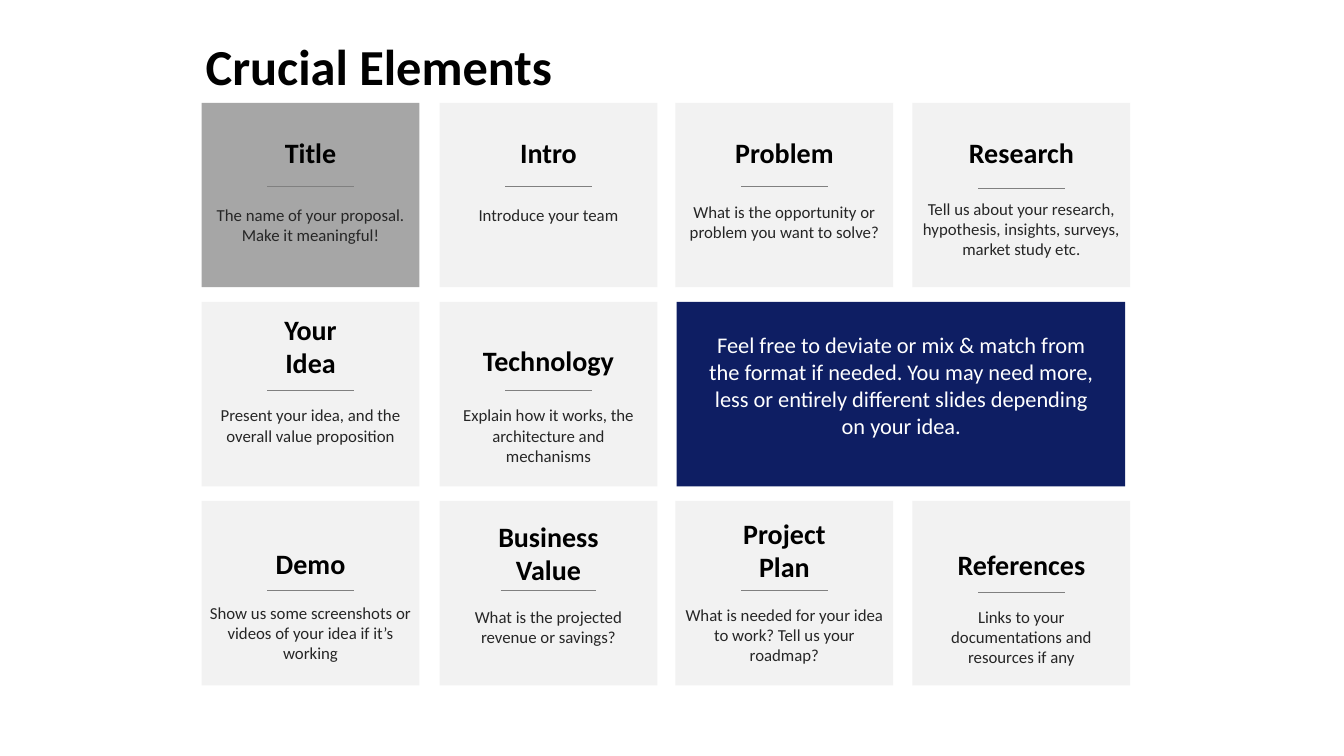
"""Build the Crucial Elements slide: a grid of proposal cards with one wide note."""
from lxml import etree
from pptx import Presentation
from pptx import util as u
from pptx.dml.color import RGBColor
from pptx.enum import shapes, text
from pptx.oxml.ns import qn

deck = Presentation()
deck.slide_width, deck.slide_height = u.Inches(13.33), u.Inches(7.5)
slide = deck.slides.add_slide(deck.slide_layouts[6])

CARD_W, CARD_H = 2.16, 1.83
COLUMNS = [2, 4.36, 6.7, 9.05]
ROWS = [1.02 + 1.975 * row for row in range(3)]
RULE_DROPS = [0.83, 0.88, 0.89]
FRAME = {"word_wrap": True, "auto_size": text.MSO_AUTO_SIZE.SHAPE_TO_FIT_TEXT,
         "margin_left": u.Inches(0.05), "margin_right": u.Inches(0.05),
         "margin_top": u.Inches(0.05), "margin_bottom": u.Inches(0.05)}
HEADING = {"size": u.Pt(20), "bold": True}
BODY = {"size": u.Pt(12)}


def paint(target, color):
    """Give a fill, line or font a solid colour."""
    if hasattr(target, "solid"):
        target.solid()
    (target.fore_color if hasattr(target, "fore_color") else target.color).rgb = RGBColor.from_string(color)


def write(words, left, top, width, height, font, color, align=text.PP_ALIGN.CENTER):
    """Add a text box with one paragraph per line of words."""
    frame = slide.shapes.add_textbox(*map(u.Inches, (left, top, width, height))).text_frame
    for name, value in FRAME.items():
        setattr(frame, name, value)
    frame.text = words
    for paragraph in frame.paragraphs:
        paragraph.alignment = align
        for name, value in {"name": "Calibri", **font}.items():
            setattr(paragraph.font, name, value)
        paint(paragraph.font, color)
    return frame


title = write("Crucial Elements", 1.99, 0.37, 9.46, 0.65,
              {"size": u.Pt(36), "bold": True}, "000000", text.PP_ALIGN.LEFT)
title.paragraphs[0].line_spacing = 0.9

cards = [
    (0, 0, "Title", 0.75, 1.3, "The name of your proposal. Make it meaningful!", 2.08, 1.98),
    (1, 0, "Intro", 0.83, 1.3, "Introduce your team", 2.08, 1.98),
    (2, 0, "Problem", 1.33, 1.3, "What is the opportunity or problem you want to solve?", 2.08, 1.95),
    (3, 0, "Research", 1.42, 1.3,
     "Tell us about your research, hypothesis, insights, surveys, market study etc.", 2.08, 1.92),
    (0, 1, "Your\nIdea", 0.79, 3.05, "Present your idea, and the overall value proposition", 2.08, 3.97),
    (1, 1, "Technology", 1.99, 3.36, "Explain how it works, the architecture and mechanisms", 2.08, 3.97),
    (0, 2, "Demo", 0.98, 5.37,
     "Show us some screenshots or videos of your idea if it’s working", 2.16, 5.93),
    (1, 2, "Business\nValue", 1.35, 5.1, "What is the projected revenue or savings?", 2.08, 5.97),
    (2, 2, "Project\nPlan", 1.14, 5.07, "What is needed for your idea to work? Tell us your roadmap?", 2.15, 5.95),
    (3, 2, "References", 1.71, 5.38, "Links to your documentations and resources if any", 2.08, 5.97),
]

panels = [(COLUMNS[col], ROWS[row], CARD_W, "F2F2F2" if col or row else "A6A6A6")
          for col, row, *_ in cards]
panels.append((6.71, ROWS[1], 4.45, "0E1E63"))
for left, top, width, color in panels:
    panel = slide.shapes.add_shape(shapes.MSO_SHAPE.RECTANGLE, *map(u.Inches, (left, top, width, CARD_H)))
    panel.shadow.inherit = False
    paint(panel.fill, color)
    panel.line.fill.background()

for col, row, heading, heading_w, heading_top, body, body_w, body_top in cards:
    center = COLUMNS[col] + CARD_W / 2
    heading_h = 0.77 if "\n" in heading else 0.44
    write(heading, center - heading_w / 2, heading_top, heading_w, heading_h, HEADING, "000000")
    body_h = 0.3 if col == 1 and row == 0 else 0.71 if len(body) > 53 or col == 3 or heading == "Technology" else 0.5
    write(body, center - body_w / 2, body_top, body_w, body_h, BODY, "262626")
    rule_w = 0.95 if heading.startswith("Business") else 0.86
    rule_y = ROWS[row] + RULE_DROPS[row] + (0.02 if col == 3 else 0)
    rule = slide.shapes.add_connector(shapes.MSO_CONNECTOR.STRAIGHT, *map(
        u.Inches, (center - rule_w / 2, rule_y, center + rule_w / 2, rule_y)))
    paint(rule.line, "808080")
    rule.line.width = u.Pt(0.5)
    etree.SubElement(rule._element.spPr, qn("a:effectLst"))

write("Feel free to deviate or mix & match from the format if needed. You may need more, "
      "less or entirely different slides depending on your idea.",
      6.96, 3.24, 3.96, 1.18, {"size": u.Pt(16)}, "FFFFFF")

deck.save("out.pptx")
